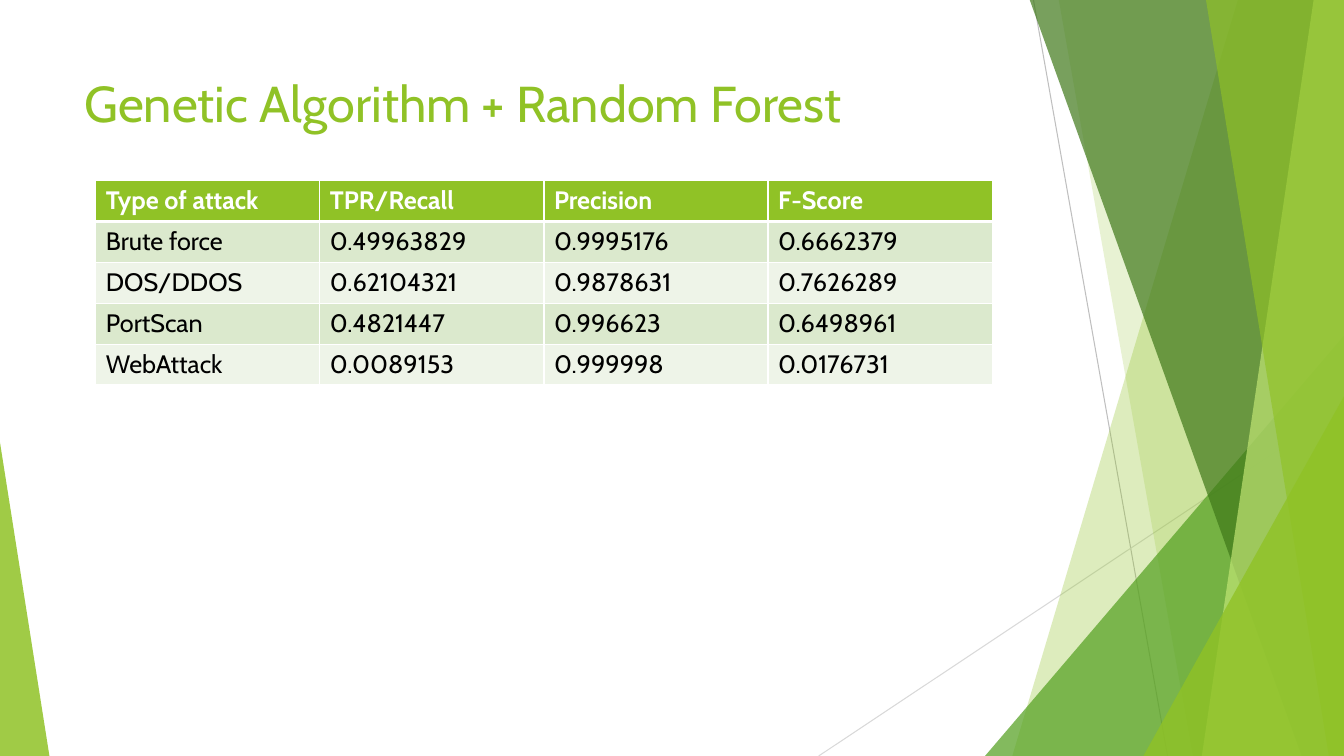
import dataclasses

import pptx
import pptx.dml.color
import pptx.enum.shapes
import pptx.enum.text
import pptx.oxml
import pptx.oxml.ns
import pptx.util

SCALE = 9144  # EMU in one px, 100 px to the inch
WIDE, HIGH = 1333, 750


@dataclasses.dataclass(frozen=True)
class Theme:
    font: str = "Cabin"
    title: int = 36
    body: int = 18
    lime: str = "90C226"
    green: str = "54A021"
    dark: str = "3F7819"
    pale: str = "C0E474"
    white: str = "FFFFFF"
    black: str = "000000"
    bands: tuple = ("DBE9CD", "EEF4E8")
    lines: tuple = ("BFBFBF", "D9D9D9")


THEME = Theme()

ROWS = [
    ("Type of attack", "TPR/Recall", "Precision", "F-Score"),
    ("Brute force", "0.49963829", "0.9995176", "0.6662379"),
    ("DOS/DDOS", "0.62104321", "0.9878631", "0.7626289"),
    ("PortScan", "0.4821447", "0.996623", "0.6498961"),
    ("WebAttack", "0.0089153", "0.999998", "0.0176731"),
]


def px(num):
    return pptx.util.Emu(num * SCALE)


def rgb(code):
    return pptx.dml.color.RGBColor.from_string(code)


def node(xml):
    """Parse one element in the drawing namespace."""
    head, tail = xml.split(" ", 1)
    return pptx.oxml.parse_xml(f"{head} {pptx.oxml.ns.nsdecls('a')} {tail}")


def paint(shape, color, alpha):
    """Fill without outline or shadow; alpha is the percent of opacity."""
    shape.shadow.inherit = False
    shape.line.fill.background()
    shape.fill.solid()
    shape.fill.fore_color.rgb = rgb(color)
    tint = shape.fill._xPr.find(".//" + pptx.oxml.ns.qn("a:srgbClr"))
    tint.append(node(f'<a:alpha val="{alpha * 1000}"/>'))


def add_line(slide, start, end, color):
    kind = pptx.enum.shapes.MSO_CONNECTOR.STRAIGHT
    line = slide.shapes.add_connector(kind, *map(px, start + end))
    line.line.color.rgb = rgb(color)
    line.line.width = pptx.util.Pt(0.75)
    line._element.spPr.append(node("<a:effectLst />"))


def add_shard(slide, top, base, color, alpha, right=WIDE):
    """Draw a band from x = top to x = base, out to the right edge."""
    pen = slide.shapes.build_freeform(top, -1, scale=SCALE)
    pen.add_line_segments([(right, -1), (right, HIGH), (base, HIGH)])
    paint(pen.convert_to_shape(), color, alpha)


def add_wedge(slide, left, top, width, peak, color, alpha):
    """Draw a triangle on the bottom edge; peak 0 is left, 1 is right."""
    kind = pptx.enum.shapes.MSO_SHAPE.ISOSCELES_TRIANGLE
    box = map(px, (left, top, width, HIGH - top))
    wedge = slide.shapes.add_shape(kind, *box)
    wedge.adjustments[0] = peak
    paint(wedge, color, alpha)


def style(para, size, color, bold=False):
    font = para.font
    font.name = THEME.font
    font.size = pptx.util.Pt(size)
    font.color.rgb = rgb(color)
    font.bold = bold


def add_title(slide, text):
    box = slide.shapes.add_textbox(*map(px, (74, 67, 940, 144)))
    frame = box.text_frame
    frame.word_wrap = True
    frame.vertical_anchor = pptx.enum.text.MSO_ANCHOR.TOP
    frame.text = text
    style(frame.paragraphs[0], THEME.title, THEME.lime)


def edge(cell, side, points):
    cell._tc.get_or_add_tcPr().append(node(
        f'<a:ln{side} w="{pptx.util.Pt(points)}"><a:solidFill>'
        f'<a:srgbClr val="{THEME.white}"/></a:solidFill></a:ln{side}>'))


def add_grid(slide, rows):
    box = map(px, (95, 179, 889, 203))
    grid = slide.shapes.add_table(len(rows), len(rows[0]), *box).table
    for r, row in enumerate(rows):
        head = r == 0
        fill = THEME.lime if head else THEME.bands[(r - 1) % 2]
        color = THEME.white if head else THEME.black
        widths = {"L": 1, "R": 1, "T": 3 if r == 1 else 1, "B": 3 if head else 1}
        for c, text in enumerate(row):
            cell = grid.cell(r, c)
            cell.text = text
            style(cell.text_frame.paragraphs[0], THEME.body, color, head)
            for side, points in widths.items():
                edge(cell, side, points)
            cell.fill.solid()
            cell.fill.fore_color.rgb = rgb(fill)


def add_decor(slide):
    add_line(slide, (1025, 0), (1158, HIGH), THEME.lines[0])
    add_line(slide, (WIDE, 403), (812, HIGH), THEME.lines[1])
    add_shard(slide, 1228, 1004, THEME.lime, 30)
    add_shard(slide, 1050, 1183, THEME.lime, 20)
    add_wedge(slide, 977, 333, 356, 1, THEME.green, 72)
    add_shard(slide, 1021, 1291, THEME.dark, 70)
    add_shard(slide, 1303, 1192, THEME.pale, 70)
    add_shard(slide, 1196, 1318, THEME.lime, 65)
    add_wedge(slide, 1134, 393, 199, 1, THEME.lime, 80)
    add_wedge(slide, 0, 439, 49, 0, THEME.lime, 85)


def main():
    deck = pptx.Presentation()
    deck.slide_width, deck.slide_height = px(WIDE), px(HIGH)
    slide = deck.slides.add_slide(deck.slide_layouts[6])
    add_decor(slide)
    add_title(slide, "Genetic Algorithm + Random Forest")
    add_grid(slide, ROWS)
    deck.save("out.pptx")


if __name__ == "__main__":
    main()
